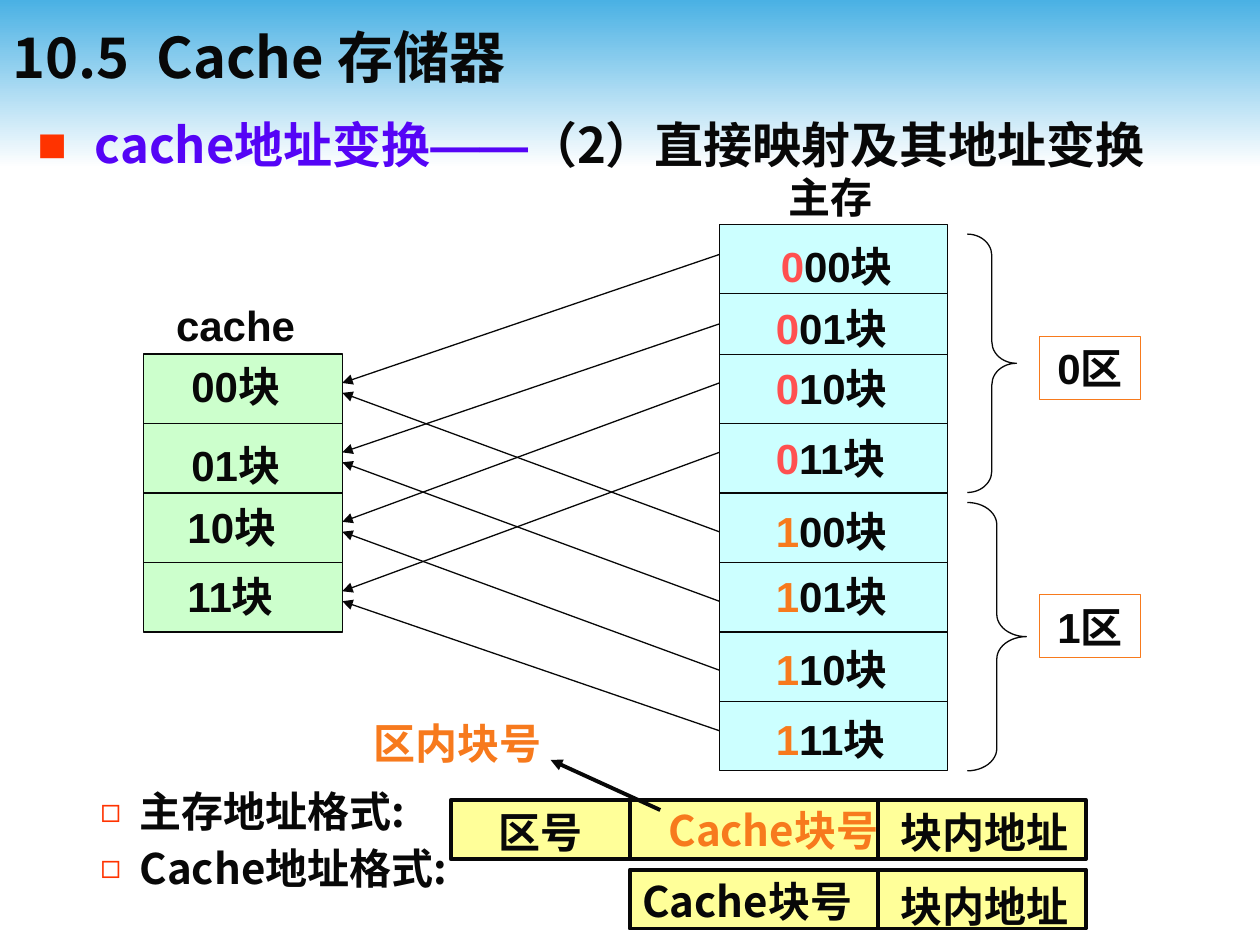
from dataclasses import dataclass
from itertools import accumulate

from lxml.etree import SubElement
from pptx import Presentation
from pptx.dml.color import RGBColor
from pptx.enum.shapes import MSO_CONNECTOR, MSO_SHAPE
from pptx.enum.text import MSO_ANCHOR, MSO_AUTO_SIZE, PP_ALIGN
from pptx.oxml.ns import qn
from pptx.util import Cm, Pt


@dataclass(frozen=True)
class Theme:
    """Colours, fonts, type sizes and line widths of the slide."""
    ink: str = "080808"
    sky: str = "4AB1E4"
    white: str = "FFFFFF"
    violet: str = "5504F6"
    bullet: str = "FF3300"
    zone0: str = "FF5050"
    orange: str = "F77A1D"
    cache: str = "CCFFCC"
    memory: str = "CCFFFF"
    field: str = "FFFF99"
    sans: str = "Arial"
    cjk: str = "Noto Sans CJK JP"
    title: int = 32
    heading: int = 28
    label: int = 24
    thin: float = 0.75
    thick: float = 2.25


THEME = Theme()
ROW = 1.4
CACHE_LEFT, CACHE_TOP, CACHE_WIDTH = 2.9, 7.14, 4
MEMORY_LEFT, MEMORY_TOP, MEMORY_WIDTH = 14.5, 4.52, 4.6
FIELD_HEIGHT = 1.19
INDEX_LEFT, OFFSET_LEFT, FIELD_RIGHT = 12.7, 17.7, 21.89


def apply_format(target, values):
    """Set each named attribute of the target."""
    for name, value in values.items():
        setattr(target, name, value)


def write(paragraph, pieces, size=THEME.label, face=THEME.sans):
    """Add bold runs given as (text, colour) or (text, colour, face)."""
    for text, colour, *own_face in pieces:
        run = paragraph.add_run()
        run.text = text
        name = own_face[0] if own_face else face
        apply_format(run.font, {"size": Pt(size), "bold": True, "name": name})
        run.font.color.rgb = RGBColor.from_string(colour)
        SubElement(run.font._element, qn("a:ea"), typeface=name)


def place(shape, left, top, width, height):
    """Move and size a shape in centimetres."""
    apply_format(shape, {"left": Cm(left), "top": Cm(top),
                         "width": Cm(width), "height": Cm(height)})


def add_bullet(paragraph, symbol, percent, margin, hang):
    """Give a paragraph a coloured bullet and a hanging indent."""
    properties = paragraph._p.get_or_add_pPr()
    apply_format(paragraph, {"line_spacing": 0.9})
    properties.set("marL", str(Cm(margin)))
    properties.set("indent", str(-Cm(hang)))
    colour = SubElement(properties, qn("a:buClr"))
    SubElement(colour, qn("a:srgbClr"), val=THEME.bullet)
    SubElement(properties, qn("a:buSzPct"), val=str(percent * 1000))
    SubElement(properties, qn("a:buChar"), char=symbol)


def add_label(slide, left, top, width, pieces, face=THEME.sans, align=PP_ALIGN.LEFT):
    """Add a one-line label."""
    frame = slide.shapes.add_textbox(Cm(left), Cm(top), Cm(width), Cm(1.27)).text_frame
    apply_format(frame, {"word_wrap": True, "auto_size": MSO_AUTO_SIZE.NONE})
    frame.paragraphs[0].alignment = align
    write(frame.paragraphs[0], pieces, face=face)


def add_box(slide, left, top, width, height, fill=None, line=THEME.ink,
            weight=THEME.thin, kind=MSO_SHAPE.RECTANGLE):
    """Add an outlined shape, filled when a colour is given."""
    box = slide.shapes.add_shape(kind, Cm(left), Cm(top), Cm(width), Cm(height))
    box.shadow.inherit = False
    if fill:
        box.fill.solid()
        box.fill.fore_color.rgb = RGBColor.from_string(fill)
    else:
        box.fill.background()
    box.line.color.rgb = RGBColor.from_string(line)
    box.line.width = Pt(weight)
    return box


def write_in_box(box, pieces, face=THEME.sans, **frame_format):
    """Write one centred line inside a box."""
    frame = box.text_frame
    apply_format(frame, {"word_wrap": False, "vertical_anchor": MSO_ANCHOR.MIDDLE,
                         **frame_format})
    frame.paragraphs[0].alignment = PP_ALIGN.CENTER
    write(frame.paragraphs[0], pieces, face=face)


def add_line(slide, start, end, weight=THEME.thin, arrow=False):
    """Add a straight line, with an arrowhead at its end if asked."""
    line = slide.shapes.add_connector(MSO_CONNECTOR.STRAIGHT, *map(Cm, (*start, *end)))
    line.line.color.rgb = RGBColor.from_string(THEME.ink)
    line.line.width = Pt(weight)
    properties = line._element.spPr
    if arrow:
        SubElement(properties.find(qn("a:ln")), qn("a:tailEnd"), type="triangle")
    SubElement(properties, qn("a:effectLst"))


def add_stack(slide, left, top, width, rows, fill):
    """Add a column of memory blocks with the given row heights."""
    add_box(slide, left, top, width, sum(rows), fill)
    for offset in accumulate(rows[:-1]):
        add_line(slide, (left, top + offset), (left + width, top + offset))


def add_band(slide):
    """Add the gradient band behind the title."""
    band = add_box(slide, 0, 0, 25.4, 3.38)
    band.line.fill.background()
    band.fill.gradient()
    band.fill.gradient_angle = 270
    for stop, colour in zip(band.fill.gradient_stops, (THEME.sky, THEME.white)):
        stop.color.rgb = RGBColor.from_string(colour)
    slide.shapes._spTree.insert(2, band._element)


def fill_title(title):
    """Write the section title."""
    place(title, 0, 0.13, 25.4, 2)
    apply_format(title.text_frame, {"vertical_anchor": MSO_ANCHOR.MIDDLE,
                                    "auto_size": MSO_AUTO_SIZE.NONE})
    paragraph = title.text_frame.paragraphs[0]
    paragraph.alignment = PP_ALIGN.LEFT
    stops = SubElement(paragraph._p.get_or_add_pPr(), qn("a:tabLst"))
    SubElement(stops, qn("a:tab"), pos=str(Cm(2.9)), algn="l")
    write(paragraph, [("10.5\tCache 存储器", THEME.ink)], THEME.title, THEME.cjk)


def fill_body(body):
    """Write the heading and the two address format items."""
    place(body, 0.5, 2.31, 24.4, 16.74)
    frame = body.text_frame
    frame.auto_size = MSO_AUTO_SIZE.NONE
    heading = frame.paragraphs[0]
    heading.space_before = Pt(0)
    add_bullet(heading, "■", 100, 1.16, 1.16)
    write(heading, [("cache地址变换", THEME.violet), ("——", THEME.violet, THEME.sans),
                    ("（2）直接映射及其地址变换", THEME.ink)], THEME.heading, THEME.cjk)
    for text, gap in (("主存地址格式:", 353), ("Cache地址格式:", 6.4)):
        item = frame.add_paragraph()
        apply_format(item, {"level": 1, "space_before": Pt(gap)})
        add_bullet(item, "◻", 80, 2.06, 0.79)
        write(item, [(text, THEME.ink)], face=THEME.cjk)


def add_mapping(slide):
    """Draw cache, main memory and the arrows between their blocks."""
    add_stack(slide, CACHE_LEFT, CACHE_TOP, CACHE_WIDTH, [ROW] * 4, THEME.cache)
    add_stack(slide, MEMORY_LEFT, MEMORY_TOP, MEMORY_WIDTH,
              [ROW, 1.22] + [ROW] * 6, THEME.memory)
    add_label(slide, 15.65, 3.33, 2.6, [("主存", THEME.ink)])
    add_label(slide, 3.3, 5.92, 3.33, [("cache", THEME.ink)])
    cache_labels = ((3.61, 7.14), (3.61, 8.74), (3.53, 9.98), (3.53, 11.38))
    for block, (left, top) in enumerate(cache_labels):
        add_label(slide, left, top, 2.7, [(f"{block:02b}块", THEME.ink)])
    memory_tops = (4.72, 5.97, 7.19, 8.59, 10.06, 11.38, 12.85, 14.25)
    arrow_starts = (5.13, 6.53, 7.72, 9.12, 10.72, 12.12, 13.51, 14.73)
    for number, (top, start) in enumerate(zip(memory_tops, arrow_starts)):
        zone, block = divmod(number, 4)
        add_label(slide, 15.39 if number else 15.49, top, 3.4,
                  [(str(zone), (THEME.zone0, THEME.orange)[zone]),
                   (f"{block:02b}块", THEME.ink)])
        add_line(slide, (MEMORY_LEFT, start),
                 (CACHE_LEFT + CACHE_WIDTH, 7.72 + zone * 0.2 + block * ROW), arrow=True)


def add_zones(slide):
    """Bracket the two zones of main memory."""
    zones = ((4.72, 0.99, 5.21, 6.78), (10.13, 1.19, 5.41, 11.99))
    for zone, (top, width, height, tag_top) in enumerate(zones):
        brace = add_box(slide, 19.5, top, width, height, kind=MSO_SHAPE.RIGHT_BRACE)
        brace.adjustments[0] = height / 12 / width
        tag = add_box(slide, 20.96, tag_top, 2.03, 1.27, line=THEME.orange)
        write_in_box(tag, [(f"{zone}区", THEME.ink)])


def add_address_formats(slide):
    """Draw the fields of the main memory and cache addresses."""
    memory_left, memory_top, cache_top = 9.09, 16.13, 17.53
    memory_bar, _ = [
        add_box(slide, left, top, FIELD_RIGHT - left, FIELD_HEIGHT, THEME.field,
                weight=THEME.thick)
        for left, top in ((memory_left, memory_top), (INDEX_LEFT, cache_top))]
    write_in_box(memory_bar, [("Cache块号", THEME.orange)], THEME.cjk, margin_left=Cm(0.45))
    for left, top in ((INDEX_LEFT, memory_top), (OFFSET_LEFT, memory_top),
                      (OFFSET_LEFT, cache_top)):
        add_line(slide, (left, top), (left, top + FIELD_HEIGHT), THEME.thick)
    add_label(slide, memory_left, memory_top, INDEX_LEFT - memory_left,
              [("区号", THEME.ink)], THEME.cjk, PP_ALIGN.CENTER)
    for text, left, top, colour in (("块内地址", 17.91, memory_top, THEME.ink),
                                    ("块内地址", 17.91, 17.63, THEME.ink),
                                    ("区内块号", 7.29, 14.33, THEME.orange),
                                    ("Cache块号", INDEX_LEFT, cache_top, THEME.ink)):
        add_label(slide, left, top, 5, [(text, colour)], THEME.cjk)
    add_line(slide, (13.31, 16.33), (11.1, 15.32), THEME.thick, arrow=True)


def main():
    """Build the slide and save it."""
    deck = Presentation()
    apply_format(deck, {"slide_width": Cm(25.4), "slide_height": Cm(19.05)})
    slide = deck.slides.add_slide(deck.slide_layouts[1])
    add_band(slide)
    fill_title(slide.shapes.title)
    fill_body(slide.placeholders[1])
    add_mapping(slide)
    add_zones(slide)
    add_address_formats(slide)
    deck.save("out.pptx")


if __name__ == "__main__":
    main()
